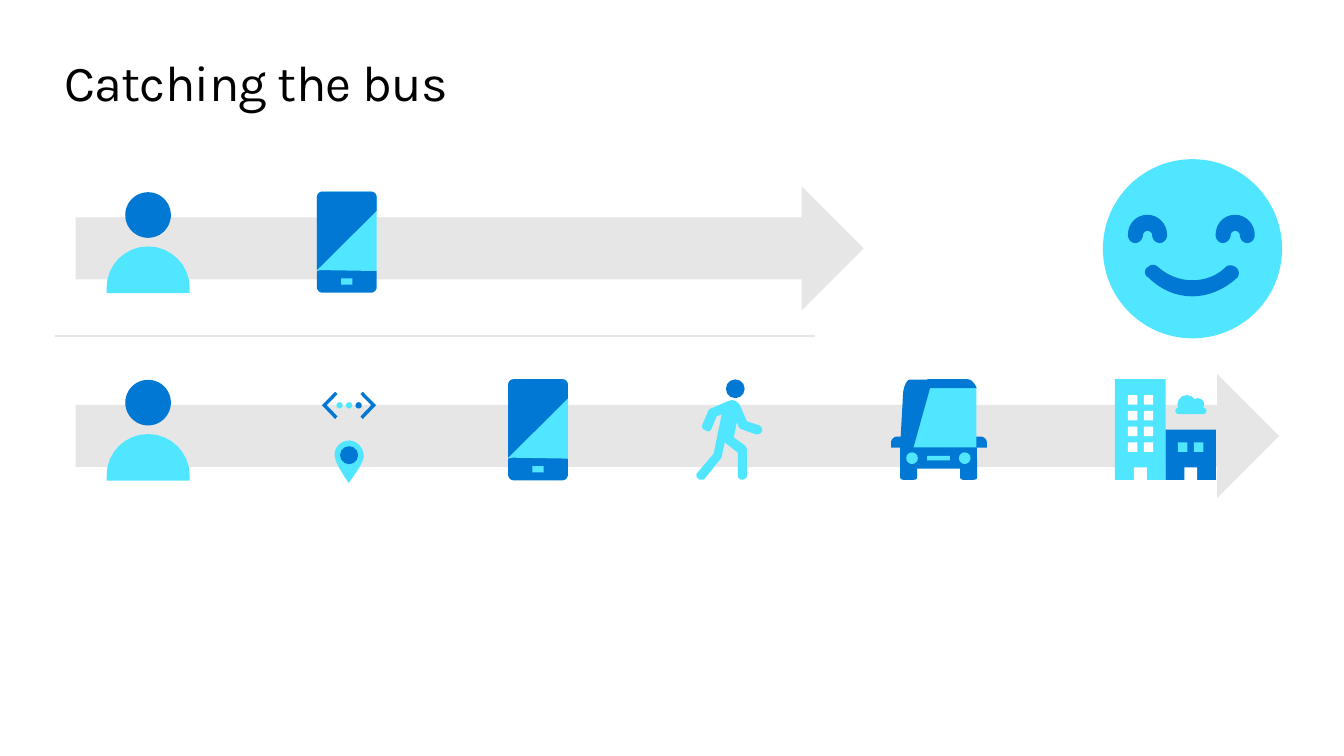
from pptx import Presentation
from pptx.dml.color import RGBColor
from pptx.enum.shapes import MSO_CONNECTOR, MSO_SHAPE
from pptx.enum.text import MSO_ANCHOR, PP_ALIGN
from pptx.oxml.ns import qn
from pptx.util import Pt
from lxml import etree

BLACK = RGBColor(0x00, 0x00, 0x00)
WHITE = RGBColor(0xFF, 0xFF, 0xFF)
GREY = RGBColor(0xE6, 0xE6, 0xE6)
BLUE = RGBColor(0x00, 0x78, 0xD4)
CYAN = RGBColor(0x50, 0xE6, 0xFF)
RECT, OVAL = MSO_SHAPE.RECTANGLE, MSO_SHAPE.OVAL
ROUND, ARROW = MSO_SHAPE.ROUNDED_RECTANGLE, MSO_SHAPE.RIGHT_ARROW
STRAIGHT = MSO_CONNECTOR.STRAIGHT
LEFT, MIDDLE = PP_ALIGN.LEFT, MSO_ANCHOR.MIDDLE

BODY = [(29.7, 38.7), (46, 38.7, 59.3, 52.2, 59.3, 68), (59.3, 72), (0, 72),
        (0, 68), (0, 52.2, 13, 38.7, 29.7, 38.7)]
BASE = [(21.4, 50.2), (0, 56.7), (0, 68.4), (0, 70.4, 1.8, 72.2, 3.8, 72.2),
        (38.8, 72.2), (40.8, 72.2, 42.6, 70.4, 42.6, 68.4), (42.6, 56.7)]
SCREEN = [(38.8, 0), (3.8, 0), (1.8, 0, 0, 1.8, 0, 3.8), (0, 56), (42.6, 56.7),
          (42.6, 3.8), (42.6, 1.8, 40.8, 0, 38.8, 0)]
SHADE = [(42.6, 3.8), (42.6, 1.8, 40.8, 0, 38.8, 0), (3.8, 0),
         (1.8, 0, 0, 1.8, 0, 3.8), (0, 56), (42.6, 13.7)]
PIN = [(249.8, 314.6), (244, 314.6, 239, 319, 239, 324.7),
       (238.6, 330.5, 249.1, 344.9, 249.1, 344.9),
       (249.1, 344.9, 259.2, 331.9, 259.9, 326.2),
       (259.9, 320.4, 255.6, 315.1, 249.8, 314.6)]
ANGLE = [(241.1, 281.6), (239.4, 279.9), (230, 289.5), (239.4, 299.3),
         (241.1, 297.5), (233.4, 289.5)]
EYE = [(14, 0), (5.8, 0, 0, 6.5, 0, 14.4), (0, 17.3, 2.2, 20.2, 5.2, 20.2),
       (8.1, 20.2, 10.8, 17.3, 10.8, 14.4), (10.8, 13, 12.2, 11.5, 14, 11.5),
       (15.8, 11.5, 17.3, 13, 17.3, 14.4), (17.3, 17.3, 19.6, 20.2, 22.7, 20.2),
       (25.7, 20.2, 28, 17.3, 28, 14.4), (28, 6.5, 21.6, 0, 14, 0)]
MOUTH = [(883.4, 191.5), (881.3, 189.4, 877.7, 188.6, 875.5, 190.8),
         (869, 197.3, 860.4, 200.2, 851.8, 200.2),
         (842.4, 200.2, 833.8, 196.6, 827.3, 190.8),
         (825.1, 188.6, 822.2, 188.6, 820, 190.8),
         (818.6, 191.5, 817.9, 193, 817.9, 194.4),
         (817.9, 195.8, 818.6, 197.3, 820, 198),
         (828.7, 206.6, 839.5, 211.7, 851.8, 211.7),
         (863.3, 211.7, 874.8, 206.6, 883.4, 198.7),
         (884.2, 198, 884.9, 196.6, 884.9, 195.1),
         (884.9, 193.7, 884.2, 192.2, 883.4, 191.5)]
WALKER = [(542.2, 303.8), (533.5, 301), (528.5, 289.4),
          (527, 287.3, 524.9, 285.8, 522.7, 285.8),
          (522, 285.8, 520.6, 286.6, 519.8, 286.6), (508.3, 291.6),
          (507.6, 291.6, 506.9, 292.3, 506.2, 293), (501.8, 303.1),
          (501.1, 305.3, 501.8, 306.7, 504, 307.4),
          (504.7, 307.4, 504.7, 308.2, 505.4, 308.2),
          (506.9, 308.2, 507.6, 307.4, 508.3, 306), (511.9, 297.4),
          (515.5, 295.9), (509.8, 324), (498.2, 337.7),
          (496.8, 339.1, 497.5, 341.3, 499, 342),
          (499, 342.7, 499.7, 342.7, 501.1, 342.7),
          (501.8, 342.7, 502.6, 342.7, 503.3, 342), (514.8, 327.6),
          (515.5, 326.9, 515.5, 326.9, 515.5, 326.2), (517.7, 316.1),
          (527, 323.3), (527, 339.8), (527, 341.3, 528.5, 342.7, 529.9, 342.7),
          (532.1, 342.7, 533.5, 341.3, 533.5, 339.8), (533.5, 321.1),
          (533.5, 320.4, 532.8, 319, 532.1, 318.2), (524.2, 312.5),
          (526.3, 301.7), (527.8, 305.3),
          (528.5, 306, 529.2, 306.7, 529.9, 306.7), (540, 310.3),
          (542.2, 310.3, 543.6, 309.6, 544.3, 308.2),
          (545, 306, 543.6, 304.6, 542.2, 303.8)]
MIRROR = [(640.8, 311.8), (650.2, 311.8), (650.2, 319.7), (636.5, 319.7),
          (636.5, 316), (636.5, 313.9, 638.6, 311.8, 640.8, 311.8)]
HOOD = [(643.6, 318.2), (643, 320.4), (643, 334.8), (697.8, 334.8),
        (697.8, 320.4), (697.1, 318.2), (670.4, 315.4)]
WHEEL = [(655.2, 328.3), (643, 328.3), (643, 340.5),
         (643, 342, 643.8, 342.7, 645.2, 342.7), (653, 342.7),
         (654.2, 342.7, 655.2, 342, 655.2, 340.5)]
GLASS = [(650.2, 319.5), (697.5, 319.5), (697.5, 278.6),
         (697.5, 274.3, 694, 271.4, 689, 271.4), (658.8, 271.4),
         (653.8, 271.4, 650.2, 274.3, 650.2, 278.6)]
SIDE = [(653, 271.2), (666, 271.2), (652.3, 320.4), (643, 321.8), (643, 318.2),
        (645.1, 280.1), (645.8, 275.8, 647.3, 272.2, 649.4, 271.2)]
ROOF = [(662.4, 270.9), (691.2, 270.9), (693.4, 270.9, 695.5, 272.9, 697, 275.8),
        (697.7, 277.2), (662.4, 277.2)]


def flip(steps, axis):
    """Mirror an outline about a vertical axis."""
    return [tuple(2 * axis - v if i % 2 == 0 else v for i, v in enumerate(s))
            for s in steps]


def trace(steps, parts=8):
    """Turn points and cubic curves (six numbers) into plain points."""
    dots = []
    for step in steps:
        if len(step) == 2:
            dots.append(step)
            continue
        ends = [dots[-1], step[:2], step[2:4], step[4:]]
        for n in range(1, parts + 1):
            t = n / parts
            mix = ((1 - t) ** 3, 3 * t * (1 - t) ** 2, 3 * t * t * (1 - t), t ** 3)
            dots.append(tuple(sum(m * e[k] for m, e in zip(mix, ends))
                              for k in (0, 1)))
    return dots


def write(frame, text, font="Karla", size=36, color=BLACK, align=LEFT, gap=0):
    """Fill a text frame; gap is the letter spacing in points."""
    frame.margin_left = frame.margin_right = frame.margin_top = frame.margin_bottom = 0
    frame.word_wrap, frame.vertical_anchor = True, MIDDLE
    par = frame.paragraphs[0]
    par.alignment = align
    run = par.add_run()
    run.text = text
    run.font.name, run.font.size = font, Pt(size)
    run.font.color.rgb = color
    run._r.get_or_add_rPr().set("spc", str(int(gap * 100)))


class Deck:
    def __init__(self):
        self.file = Presentation()
        self.file.slide_width, self.file.slide_height = Pt(960), Pt(540)
        self.slide = self.file.slides.add_slide(self.file.slide_layouts[5])
        self.shapes = self.slide.shapes

    def title(self, text, x, y, w, h):
        box = self.shapes.title
        box.left, box.top, box.width, box.height = Pt(x), Pt(y), Pt(w), Pt(h)
        write(box.text_frame, text, gap=-0.5)

    def paint(self, shape, color):
        shape.shadow.inherit = False
        shape.fill.solid()
        shape.fill.fore_color.rgb = color
        shape.line.fill.background()

    def shape(self, kind, color, x, y, w, h):
        item = self.shapes.add_shape(kind, Pt(x), Pt(y), Pt(w), Pt(h))
        self.paint(item, color)
        return item

    def disc(self, color, x, y, size):
        self.shape(OVAL, color, x, y, size, size)

    def form(self, color, steps, x=0, y=0):
        dots = [(Pt(x + a), Pt(y + b)) for a, b in trace(steps)]
        pen = self.shapes.build_freeform(*dots[0], scale=1.0)
        pen.add_line_segments(dots[1:], close=True)
        self.paint(pen.convert_to_shape(), color)

    def rule(self, x, y, end, width):
        line = self.shapes.add_connector(STRAIGHT, Pt(x), Pt(y), Pt(end), Pt(y))
        line.line.color.rgb, line.line.width = GREY, Pt(width)
        etree.SubElement(line._element.spPr, qn("a:effectLst"))

    def person(self, x, y):
        self.disc(BLUE, x + 13.3, y, 32.6)
        self.form(CYAN, BODY, x, y)

    def phone(self, x, y):
        self.form(BLUE, BASE, x, y)
        self.shape(RECT, CYAN, x + 17.3, y + 62, 8, 4.5)
        self.form(CYAN, SCREEN, x, y)
        self.form(BLUE, SHADE, x, y)

    def place(self):
        self.form(CYAN, PIN)
        self.disc(BLUE, 242.9, 318.7, 12.9)
        for steps in (ANGLE, flip(ANGLE, 249.3)):
            self.form(BLUE, steps)
        for n, color in enumerate((CYAN, CYAN, BLUE)):
            self.disc(color, 240.3 + 6.8 * n, 287.3, 4.5)

    def smile(self):
        self.disc(CYAN, 787.8, 113.7, 128)
        for x in (805.7, 868.3):
            self.form(BLUE, EYE, x, 153.4)
        self.form(BLUE, MOUTH)

    def bus(self):
        for steps in (MIRROR, flip(MIRROR, 670.7), HOOD, WHEEL, flip(WHEEL, 670.5)):
            self.form(BLUE, steps)
        self.form(CYAN, GLASS)
        for x in (647.3, 684.9):
            self.disc(CYAN, x, 323.1, 8.4)
        self.shape(RECT, CYAN, 662.3, 325.6, 16.2, 3.2)
        self.form(BLUE, SIDE)
        self.form(BLUE, ROOF)

    def town(self):
        self.disc(CYAN, 841, 282.2, 13.6)
        bar = self.shape(ROUND, CYAN, 839.5, 291, 22.3, 4.8)
        bar.adjustments[0] = 0.5
        self.disc(CYAN, 851.2, 284.4, 9)
        self.shape(RECT, CYAN, 796.4, 270.8, 36.2, 72.1)
        self.shape(RECT, BLUE, 832.6, 307, 36, 35.9)
        for col in range(2):
            for row in range(4):
                self.shape(RECT, WHITE, 805.6 + 11.4 * col, 282.2 + 11.3 * row, 6.8, 6.8)
            self.shape(RECT, CYAN, 841.4 + 11.4 * col, 316.1, 6.8, 6.8)
            self.shape(RECT, WHITE, 810 + 36 * col, 333.9, 9.2, 9)


def main():
    deck = Deck()
    for y, w in ((133.2, 563), (267.1, 859.7)):
        deck.shape(ARROW, GREY, 54, y, w, 88.6)
    deck.title("Catching the bus", 46.1, 36, 867.6, 43.9)
    deck.bus()
    for x, y in ((226.4, 136.9), (363, 270.9)):
        deck.phone(x, y)
    deck.place()
    deck.smile()
    deck.town()
    for y in (137.3, 271.3):
        deck.person(76.2, y)
    deck.disc(BLUE, 518.5, 271, 13.4)
    deck.form(CYAN, WALKER)
    deck.rule(39.6, 239.8, 582.5, 1.5)
    deck.file.save("out.pptx")


if __name__ == "__main__":
    main()
